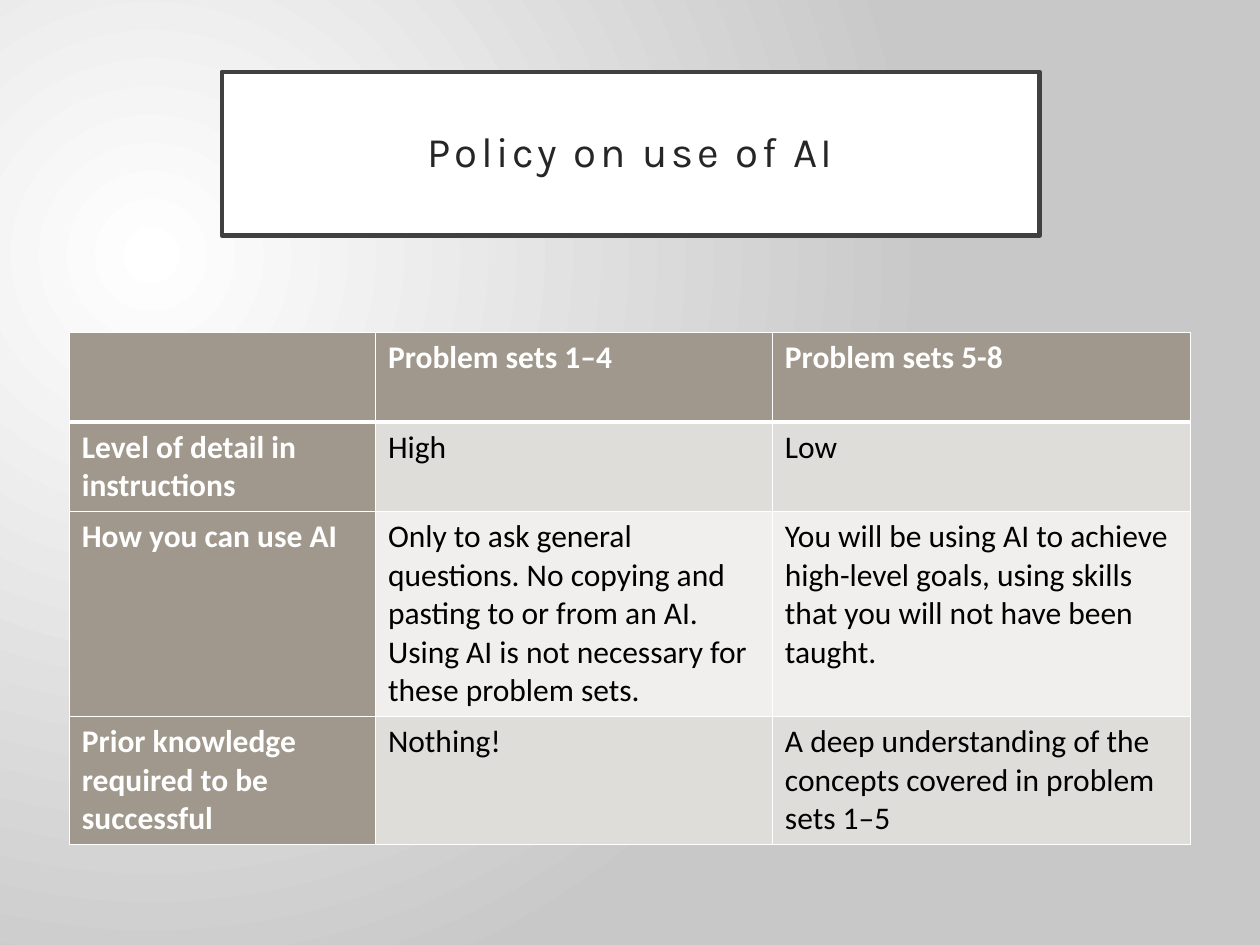
from lxml import etree
from pptx import Presentation
from pptx.dml.color import RGBColor
from pptx.enum.shapes import MSO_SHAPE
from pptx.enum.text import MSO_ANCHOR, PP_ALIGN
from pptx.oxml.ns import qn
from pptx.util import Inches, Pt

RECT = MSO_SHAPE.RECTANGLE
MIDDLE = MSO_ANCHOR.MIDDLE
CENTER = PP_ALIGN.CENTER

TITLE = "Policy on use of AI"
ROWS = [
    ("", "Problem sets 1–4", "Problem sets 5-8"),
    ("Level of detail in instructions", "High", "Low"),
    ("How you can use AI",
     "Only to ask general questions. No copying and pasting to or from an AI. "
     "Using AI is not necessary for these problem sets.",
     "You will be using AI to achieve high-level goals, using skills "
     "that you will not have been taught."),
    ("Prior knowledge required to be successful", "Nothing!",
     "A deep understanding of the concepts covered in problem sets 1–5"),
]
WIDTHS = [2.43, 3.15, 3.32]
HEIGHTS = [0.71, 0.55, 0.74, 0.74]
HEAD = "A0988C"
BANDS = ["F0EFEE", "DFDDDA"]
GLOW = {"l": 50, "t": 55, "r": 125, "b": 100}


def color(code):
    return RGBColor.from_string(code)


def paint(shape, code):
    shape.fill.solid()
    shape.fill.fore_color.rgb = color(code)


def style(par, name, size, code, bold=False):
    font = par.font
    font.name, font.size, font.bold = name, Pt(size), bold
    font.color.rgb = color(code)


def add_back(slide):
    fill = slide.background.fill
    fill.gradient()
    for stop, code, place in zip(fill.gradient_stops, ("FFFFFF", "C8C8C8"), (0, 1)):
        stop.color.rgb = color(code)
        stop.position = place
    grad = slide.element.find(".//" + qn("a:gradFill"))
    grad.remove(grad.find(qn("a:lin")))
    ring = etree.SubElement(grad, qn("a:path"), path="circle")
    etree.SubElement(ring, qn("a:fillToRect"),
                     {side: str(part * 1000) for side, part in GLOW.items()})


def add_title(slide):
    box = slide.shapes.add_shape(RECT, Inches(1.76), Inches(0.57), Inches(6.49), Inches(1.3))
    box.shadow.inherit = False
    paint(box, "FFFFFF")
    box.line.color.rgb = color("404040")
    box.line.width = Pt(2.5)
    frame = box.text_frame
    frame.word_wrap = True
    frame.vertical_anchor = MIDDLE
    frame.margin_left = frame.margin_right = Inches(0.2)
    frame.margin_top = frame.margin_bottom = Inches(0.2)
    par = frame.paragraphs[0]
    par.alignment = CENTER
    par.line_spacing = 0.9
    run = par.add_run()
    run.text = TITLE
    style(par, "Karla", 24, "262626")
    run.font.size = Pt(24)
    run.font._element.set("spc", "200")


def add_edges(cell, base):
    props = cell._tc.get_or_add_tcPr()
    for spot, (side, width) in enumerate(zip("LRTB", (1, 1, 1, base))):
        line = etree.Element(qn("a:ln" + side), w=str(Pt(width)))
        fill = etree.SubElement(line, qn("a:solidFill"))
        etree.SubElement(fill, qn("a:srgbClr"), val="FFFFFF")
        props.insert(spot, line)


def add_grid(slide):
    grid = slide.shapes.add_table(len(ROWS), len(WIDTHS), Inches(0.55), Inches(2.64),
                                  Inches(sum(WIDTHS)), Inches(sum(HEIGHTS))).table
    for col, width in zip(grid.columns, WIDTHS):
        col.width = Inches(width)
    for row, height in zip(grid.rows, HEIGHTS):
        row.height = Inches(height)
    for r, texts in enumerate(ROWS):
        for c, text in enumerate(texts):
            cell = grid.cell(r, c)
            head = r == 0 or c == 0
            cell.text = text
            style(cell.text_frame.paragraphs[0], "Calibri", 18,
                  "FFFFFF" if head else "000000", head)
            paint(cell, HEAD if head else BANDS[r % 2])
            add_edges(cell, 3 if r == 0 else 1)


def main():
    deck = Presentation()
    deck.slide_width, deck.slide_height = Inches(10), Inches(7.5)
    slide = deck.slides.add_slide(deck.slide_layouts[6])
    add_back(slide)
    add_title(slide)
    add_grid(slide)
    deck.save("out.pptx")


if __name__ == "__main__":
    main()
